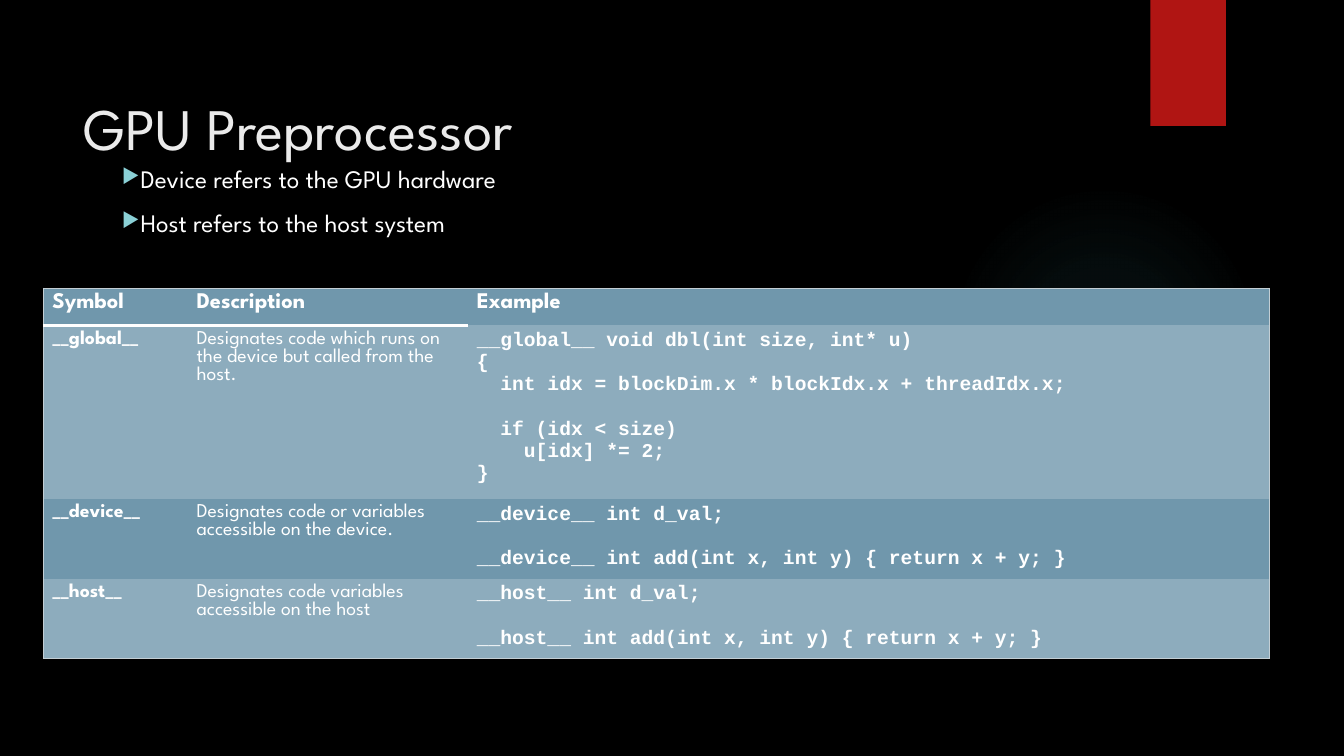
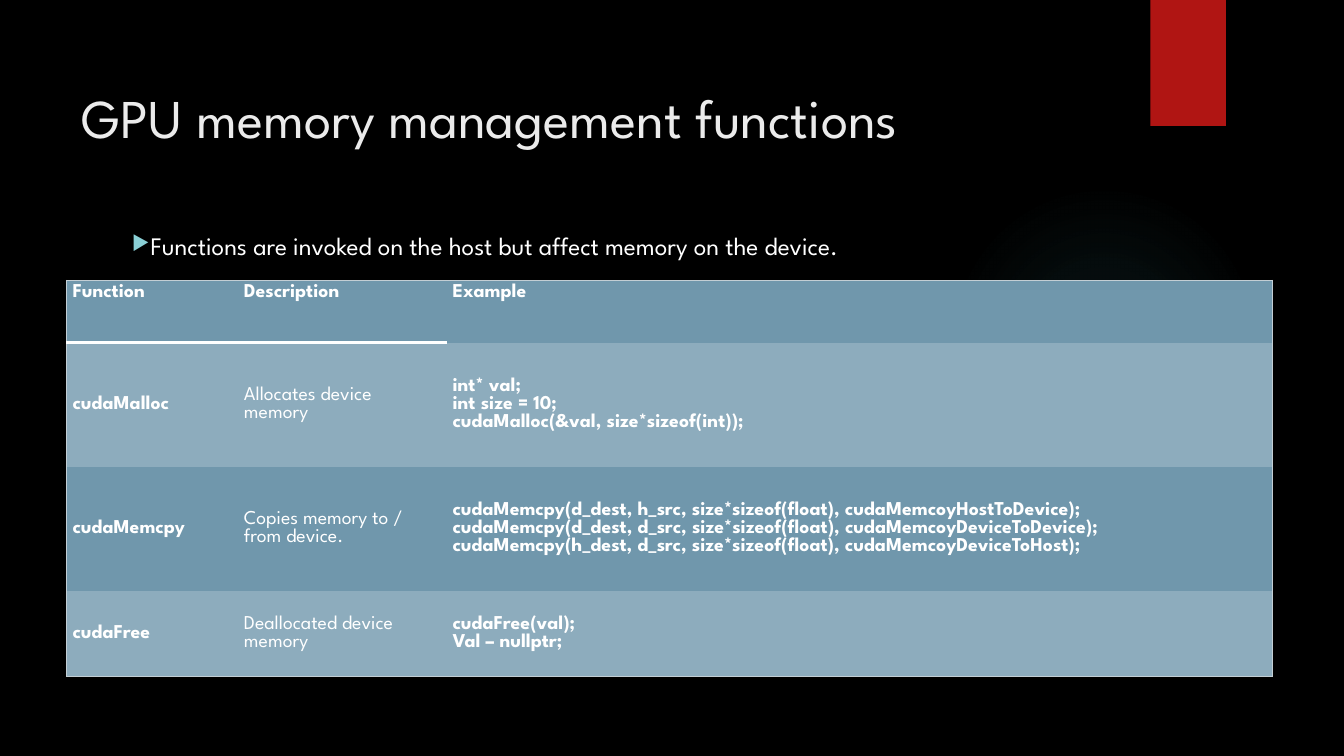
from dataclasses import dataclass

from pptx import Presentation
from pptx.dml.color import RGBColor
from pptx.enum.shapes import MSO_SHAPE
from pptx.enum.text import MSO_ANCHOR
from pptx.oxml import parse_xml
from pptx.oxml.ns import nsdecls, qn
from pptx.slide import Slide
from pptx.table import _Cell
from pptx.text.text import TextFrame, _Paragraph
from pptx.util import Inches, Pt

OVAL, RECTANGLE = MSO_SHAPE.OVAL, MSO_SHAPE.RECTANGLE
TOP, MIDDLE = MSO_ANCHOR.TOP, MSO_ANCHOR.MIDDLE
BLANK_LAYOUT = 6
PLAIN_TABLE_STYLE = "{2D5ABB26-0587-4C30-8999-92F81FD0307C}"


@dataclass(frozen=True)
class Theme:
    background: str = "000000"
    glow: str = "50B9C1"
    ribbon: str = "B01513"
    title: str = "EBEBEB"
    text: str = "FFFFFF"
    bullet: str = "8AD0D6"
    dark_row: str = "7097AC"
    light_row: str = "8DACBD"
    frame: str = "C3CED4"
    font: str = "League Spartan"
    code_font: str = "Courier New"
    bullet_size: float = 18
    cell_size: float = 14
    code_line: float = 16
    frame_width: float = 0.75
    rule_width: float = 2.25


THEME = Theme()


@dataclass(frozen=True)
class Box:
    left: float
    top: float
    width: float
    height: float

    def lengths(self) -> tuple:
        return tuple(Inches(n) for n in (self.left, self.top, self.width, self.height))


@dataclass(frozen=True)
class TableSpec:
    left: float
    top: float
    column_widths: tuple[float, ...]
    row_heights: tuple[float, ...]
    rows: tuple[tuple[str, str, str], ...]
    header_size: float
    inset_x: float
    inset_y: float
    body_anchor: MSO_ANCHOR
    example_font: str


@dataclass(frozen=True)
class SlideSpec:
    title: str
    title_box: Box
    title_size: float
    title_spacing: float
    bullets: tuple[str, ...]
    bullet_box: Box
    table: TableSpec


SLIDES = (
    SlideSpec(
        title="GPU Preprocessor",
        title_box=Box(0.73, 0.69, 10.12, 1.34),
        title_size=42,
        title_spacing=1.0,
        bullets=("Device refers to the GPU hardware", "Host refers to the host system"),
        bullet_box=Box(1.11, 1.57, 10.48, 1.12),
        table=TableSpec(
            left=0.43,
            top=2.86,
            column_widths=(1.43, 2.78, 7.95),
            row_heights=(0.3, 1.64, 0.75, 0.75),
            rows=(
                ("Symbol", "Description", "Example"),
                (
                    "__global__",
                    "Designates code which runs on the device but called from the host.",
                    "__global__ void dbl(int size, int* u)\n"
                    "{\n"
                    "  int idx = blockDim.x * blockIdx.x + threadIdx.x;\n"
                    "\n"
                    "  if (idx < size)\n"
                    "    u[idx] *= 2;\n"
                    "}",
                ),
                (
                    "__device__",
                    "Designates code or variables accessible on the device.",
                    "__device__ int d_val;\n"
                    "\n"
                    "__device__ int add(int x, int y) { return x + y; }",
                ),
                (
                    "__host__",
                    "Designates code variables accessible on the host",
                    "__host__ int d_val;\n"
                    "\n"
                    "__host__ int add(int x, int y) { return x + y; }",
                ),
            ),
            header_size=16,
            inset_x=0.09,
            inset_y=0.05,
            body_anchor=TOP,
            example_font=THEME.code_font,
        ),
    ),
    SlideSpec(
        title="GPU memory management functions",
        title_box=Box(0.71, 0.69, 10.12, 1.34),
        title_size=39,
        title_spacing=0.9,
        bullets=("Functions are invoked on the host but affect memory on the device.",),
        bullet_box=Box(1.21, 2.24, 10.86, 0.7),
        table=TableSpec(
            left=0.66,
            top=2.78,
            column_widths=(1.7, 2.07, 8.19),
            row_heights=(0.62, 1.23, 1.23, 0.85),
            rows=(
                ("Function", "Description", "Example"),
                (
                    "cudaMalloc",
                    "Allocates device memory",
                    "int* val;\n"
                    "int size = 10;\n"
                    "cudaMalloc(&val, size*sizeof(int));",
                ),
                (
                    "cudaMemcpy",
                    "Copies memory to / from device.",
                    "cudaMemcpy(d_dest, h_src, size*sizeof(float), cudaMemcoyHostToDevice);\n"
                    "cudaMemcpy(d_dest, d_src, size*sizeof(float), cudaMemcoyDeviceToDevice);\n"
                    "cudaMemcpy(h_dest, d_src, size*sizeof(float), cudaMemcoyDeviceToHost);",
                ),
                ("cudaFree", "Deallocated device memory", "cudaFree(val);\nVal – nullptr;"),
            ),
            header_size=14,
            inset_x=0.06,
            inset_y=0.03,
            body_anchor=MIDDLE,
            example_font=THEME.font,
        ),
    ),
)


def set_font(paragraph: _Paragraph, size: float, color: str = THEME.text,
             name: str = THEME.font, bold: bool = False) -> None:
    font = paragraph.font
    font.name, font.size, font.bold = name, Pt(size), bold
    font.color.rgb = RGBColor.from_string(color)


def add_text_box(slide: Slide, box: Box) -> TextFrame:
    text_frame = slide.shapes.add_textbox(*box.lengths()).text_frame
    text_frame.word_wrap = True
    return text_frame


def add_backdrop(slide: Slide) -> None:
    """Black ground, faint radial glow and red ribbon."""
    fill = slide.background.fill
    fill.solid()
    fill.fore_color.rgb = RGBColor.from_string(THEME.background)

    glow = slide.shapes.add_shape(OVAL, *Box(9.41, 1.83, 3.08, 3.08).lengths())
    glow.shadow.inherit = False
    glow.line.fill.background()
    glow.fill.background()
    stops = "".join(
        f'<a:gs pos="{position * 1000}"><a:srgbClr val="{THEME.glow}">'
        f'<a:alpha val="{alpha * 1000}"/></a:srgbClr></a:gs>'
        for position, alpha in ((0, 7), (36, 6), (69, 0), (100, 0))
    )
    gradient = parse_xml(
        f'<a:gradFill {nsdecls("a")} rotWithShape="1"><a:gsLst>{stops}</a:gsLst>'
        '<a:path path="circle"><a:fillToRect l="50000" t="50000" r="50000" b="50000"/>'
        "</a:path></a:gradFill>"
    )
    properties = glow.element.spPr
    properties.replace(properties.find(qn("a:noFill")), gradient)

    ribbon = slide.shapes.add_shape(RECTANGLE, *Box(11.41, 0, 0.75, 1.25).lengths())
    ribbon.shadow.inherit = False
    ribbon.line.fill.background()
    ribbon.fill.solid()
    ribbon.fill.fore_color.rgb = RGBColor.from_string(THEME.ribbon)


def add_title(slide: Slide, spec: SlideSpec) -> None:
    text_frame = add_text_box(slide, spec.title_box)
    text_frame.margin_top = Inches(0.22)
    paragraph = text_frame.paragraphs[0]
    paragraph.text = spec.title
    paragraph.line_spacing = spec.title_spacing
    set_font(paragraph, spec.title_size, THEME.title)


def add_bullets(slide: Slide, spec: SlideSpec) -> None:
    text_frame = add_text_box(slide, spec.bullet_box)
    text_frame.text = "\n".join(spec.bullets)
    for index, paragraph in enumerate(text_frame.paragraphs):
        paragraph.space_before = Pt(10 if index else 0)
        properties = paragraph._p.get_or_add_pPr()
        properties.set("marL", "0")
        properties.set("indent", "0")
        for markup in (
            f'<a:buClr {nsdecls("a")}><a:srgbClr val="{THEME.bullet}"/></a:buClr>',
            f'<a:buSzPct {nsdecls("a")} val="80000"/>',
            f'<a:buChar {nsdecls("a")} char="▶"/>',
        ):
            properties.append(parse_xml(markup))
        set_font(paragraph, THEME.bullet_size)


def add_border(cell: _Cell, side: str, color: str, width: float) -> None:
    cell._tc.get_or_add_tcPr().append(parse_xml(
        f'<a:ln{side} {nsdecls("a")} w="{Pt(width)}"><a:solidFill>'
        f'<a:srgbClr val="{color}"/></a:solidFill></a:ln{side}>'
    ))


def write_lines(cell: _Cell, text: str) -> list[_Paragraph]:
    """One paragraph per line; an empty line becomes space before the next."""
    paragraphs: list[_Paragraph] = []
    gap = 0.0
    for line in text.split("\n"):
        if not line:
            gap += THEME.code_line
            continue
        text_frame = cell.text_frame
        paragraph = text_frame.add_paragraph() if paragraphs else text_frame.paragraphs[0]
        paragraph.text = line
        paragraph.space_before = Pt(gap)
        paragraphs.append(paragraph)
        gap = 0.0
    return paragraphs


def add_table(slide: Slide, spec: TableSpec) -> None:
    box = Box(spec.left, spec.top, sum(spec.column_widths), sum(spec.row_heights))
    last_row, last_column = len(spec.rows) - 1, len(spec.column_widths) - 1
    frame = slide.shapes.add_table(last_row + 1, last_column + 1, *box.lengths())
    table = frame.table
    table.horz_banding = False
    next(frame.element.iter(qn("a:tableStyleId"))).text = PLAIN_TABLE_STYLE
    for column, width in zip(table.columns, spec.column_widths):
        column.width = Inches(width)
    for row, height in zip(table.rows, spec.row_heights):
        row.height = Inches(height)

    for row_index, texts in enumerate(spec.rows):
        header = row_index == 0
        for column_index, text in enumerate(texts):
            cell = table.cell(row_index, column_index)
            example = column_index == last_column
            cell.margin_left = cell.margin_right = Inches(spec.inset_x)
            cell.margin_top = cell.margin_bottom = Inches(spec.inset_y)
            cell.vertical_anchor = TOP if header else spec.body_anchor
            # Outer frame, and a rule under the first two headings
            for side, wanted in (("L", column_index == 0), ("R", example),
                                 ("T", header), ("B", row_index == last_row)):
                if wanted:
                    add_border(cell, side, THEME.frame, THEME.frame_width)
            if header and not example:
                add_border(cell, "B", THEME.text, THEME.rule_width)
            cell.fill.solid()
            cell.fill.fore_color.rgb = RGBColor.from_string(
                THEME.light_row if row_index % 2 else THEME.dark_row)
            for paragraph in write_lines(cell, text):
                set_font(
                    paragraph,
                    spec.header_size if header else THEME.cell_size,
                    name=spec.example_font if example and not header else THEME.font,
                    bold=header or column_index != 1,
                )


def main() -> None:
    presentation = Presentation()
    presentation.slide_width, presentation.slide_height = Inches(13.33), Inches(7.5)
    for spec in SLIDES:
        slide = presentation.slides.add_slide(presentation.slide_layouts[BLANK_LAYOUT])
        add_backdrop(slide)
        add_title(slide, spec)
        add_bullets(slide, spec)
        add_table(slide, spec.table)
    presentation.save("out.pptx")


if __name__ == "__main__":
    main()
